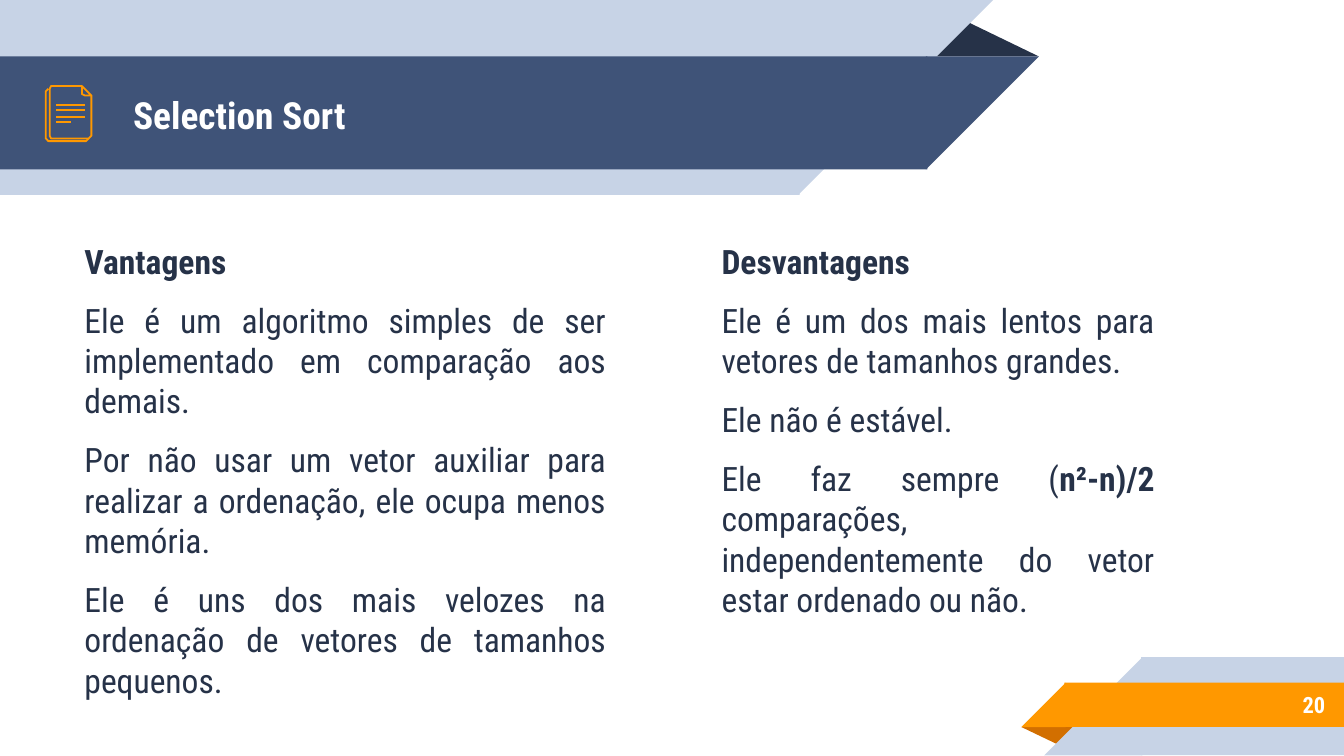
from lxml.etree import SubElement
from pptx import Presentation
from pptx.dml.color import RGBColor
from pptx.enum.shapes import MSO_CONNECTOR, MSO_SHAPE
from pptx.enum.text import MSO_ANCHOR, MSO_AUTO_SIZE, PP_ALIGN
from pptx.oxml.ns import qn
from pptx.util import Inches, Pt

FONT = "Roboto Condensed"
COLORS = {
    "ink": "263248",
    "navy": "3F5378",
    "pale": "C7D3E6",
    "orange": "FF9800",
    "rust": "D26F00",
    "white": "FFFFFF",
}
OVERLAP = 0.01
ADVANTAGES = [
    [("Ele é um algoritmo simples de ser implementado em comparação aos demais.", False)],
    [("Por não usar um vetor auxiliar para realizar a ordenação, ele ocupa menos memória.", False)],
    [("Ele é uns dos mais velozes na ordenação de vetores de tamanhos pequenos.", False)],
]
DISADVANTAGES = [
    [("Ele é um dos mais lentos para vetores de tamanhos grandes.", False)],
    [("Ele não é estável.", False)],
    [("Ele faz sempre (", False), ("n²-n)/2 ", True),
     ("comparações, independentemente do vetor estar ordenado ou não.", False)],
]


def color(name):
    return RGBColor.from_string(COLORS[name])


def add_filled(page, kind, box, fill, rotation=0):
    shape = page.shapes.add_shape(kind, *map(Inches, box))
    shape.shadow.inherit = False
    shape.fill.solid()
    shape.fill.fore_color.rgb = color(fill)
    shape.line.fill.background()
    shape.rotation = rotation
    return shape


def add_fold(page, box, fill, rotation=0):
    fold = add_filled(page, MSO_SHAPE.ISOSCELES_TRIANGLE, box, fill, rotation)
    fold.adjustments[0] = 0.32


def add_ribbon(page, box, fill, slant_on_right):
    """Rectangle ending in a 45-degree triangle, overlapped a little to hide the seam."""
    left, top, width, height = box
    body_left = left if slant_on_right else left + height - OVERLAP
    tip_left = left + width - height if slant_on_right else left
    body_box = (body_left, top, width - height + OVERLAP, height)
    add_filled(page, MSO_SHAPE.RECTANGLE, body_box, fill)
    add_filled(page, MSO_SHAPE.RIGHT_TRIANGLE, (tip_left, top, height, height), fill,
               90 if slant_on_right else 270)


def add_banner(page, box):
    left, top, width, height = box
    add_fold(page, (left + width - 0.85, top + 0.14, 0.85, 0.28), "ink")
    add_ribbon(page, (left, top, width - 0.34, height), "pale", True)
    add_ribbon(page, (left, top + 0.42, width, 0.84), "navy", True)


def add_corner(page, box):
    left, top, width, height = box
    add_fold(page, (left, top + 0.52, 0.43, 0.14), "rust", 180)
    add_ribbon(page, (left + 0.17, top, width - 0.17, height), "pale", False)
    add_ribbon(page, (left, top + 0.19, width, 0.33), "orange", False)


def style_line(line):
    line.color.rgb = color("orange")
    line.width = Pt(0.96)


def add_outline(page, left, top, points, close=False):
    points = [(Inches(left + x), Inches(top + y)) for x, y in points]
    builder = page.shapes.build_freeform(*points[0])
    builder.add_line_segments(points[1:], close=close)
    outline = builder.convert_to_shape()
    outline.shadow.inherit = False
    outline.fill.background()
    style_line(outline.line)


def add_document_icon(page, box):
    left, top, right, bottom = box[0], box[1], box[2], box[3]
    cut = 0.02
    back_sheet = [(right - 0.02, bottom - 0.02), (right - 0.04, bottom), (cut, bottom),
                  (0, bottom - cut), (0, 0.04), (cut, 0.02)]
    front_sheet = [(right, 0.07), (right, bottom - 0.04), (right - cut, bottom - 0.02),
                   (0.04, bottom - 0.02), (0.03, bottom - 0.04), (0.03, cut),
                   (0.04, 0), (right - 0.07, 0)]
    folded_corner = [(right - 0.07, 0), (right, 0.07), (right - 0.05, 0.07),
                     (right - 0.07, 0.06)]
    add_outline(page, left, top, back_sheet)
    add_outline(page, left, top, front_sheet)
    for y, length in ((0.27, 0.11), (0.23, 0.21), (0.18, 0.21), (0.14, 0.21)):
        text_line = page.shapes.add_connector(
            MSO_CONNECTOR.STRAIGHT, Inches(left + 0.08), Inches(top + y),
            Inches(left + 0.08 + length), Inches(top + y))
        style_line(text_line.line)
        SubElement(text_line._element.spPr, qn("a:effectLst"))
    add_outline(page, left, top, folded_corner, close=True)


def set_frame(frame, anchor):
    frame.word_wrap = True
    frame.auto_size = MSO_AUTO_SIZE.NONE
    frame.vertical_anchor = anchor
    frame.margin_left = frame.margin_right = Inches(0.1)
    frame.margin_top = frame.margin_bottom = Inches(0.1)


def add_span(para, text, size, fill, bold):
    span = para.add_run()
    span.text = text
    span.font.name = FONT
    span.font.size = Pt(size)
    span.font.bold = bold
    span.font.color.rgb = color(fill)


def add_text_box(page, box, anchor=MSO_ANCHOR.TOP):
    frame = page.shapes.add_textbox(*map(Inches, box)).text_frame
    set_frame(frame, anchor)
    return frame


def place_title(page, box, text):
    title = page.shapes.title
    title.left, title.top, title.width, title.height = map(Inches, box)
    set_frame(title.text_frame, MSO_ANCHOR.MIDDLE)
    para = title.text_frame.paragraphs[0]
    para.alignment = PP_ALIGN.LEFT
    add_span(para, text, 20, "white", True)
    # The banner is drawn first, so the title moves in front of it.
    page.shapes._spTree.append(title._element)


def add_column(page, box, heading, items):
    frame = add_text_box(page, box)
    para = frame.paragraphs[0]
    para.space_before = Pt(6)
    add_span(para, heading, 18, "ink", True)
    for item in items:
        para = frame.add_paragraph()
        para.alignment = PP_ALIGN.JUSTIFY
        para.space_before = Pt(10)
        for text, bold in item:
            add_span(para, text, 18, "ink", bold)


def add_page_number(page, box, number):
    para = add_text_box(page, box, MSO_ANCHOR.MIDDLE).paragraphs[0]
    para.alignment = PP_ALIGN.RIGHT
    add_span(para, number, 12, "white", True)


def main():
    deck = Presentation()
    deck.slide_width = Inches(10)
    deck.slide_height = deck.slide_width * 9 // 16
    page = deck.slides.add_slide(deck.slide_layouts.get_by_name("Title Only"))
    add_banner(page, (0, 0, 7.73, 1.45))
    add_corner(page, (7.6, 4.89, 2.4, 0.73))
    place_title(page, (0.89, 0.43, 5.75, 0.84), "Selection Sort")
    add_column(page, (0.53, 1.69, 4.08, 2.96), "Vantagens", ADVANTAGES)
    add_column(page, (5.27, 1.69, 3.42, 2.96), "Desvantagens", DISADVANTAGES)
    add_page_number(page, (8.33, 5.07, 1.63, 0.35), "20")
    add_document_icon(page, (0.34, 0.64, 0.34, 0.41))
    deck.save("out.pptx")


if __name__ == "__main__":
    main()
